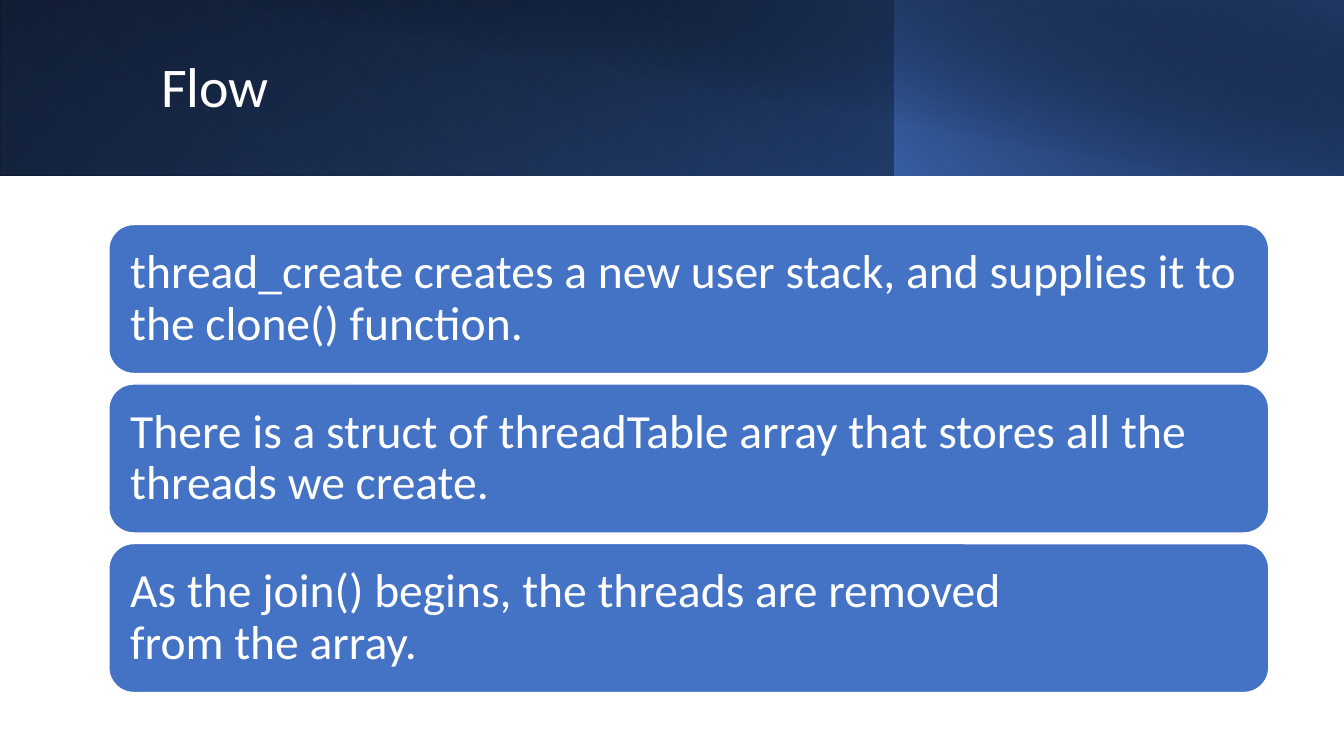
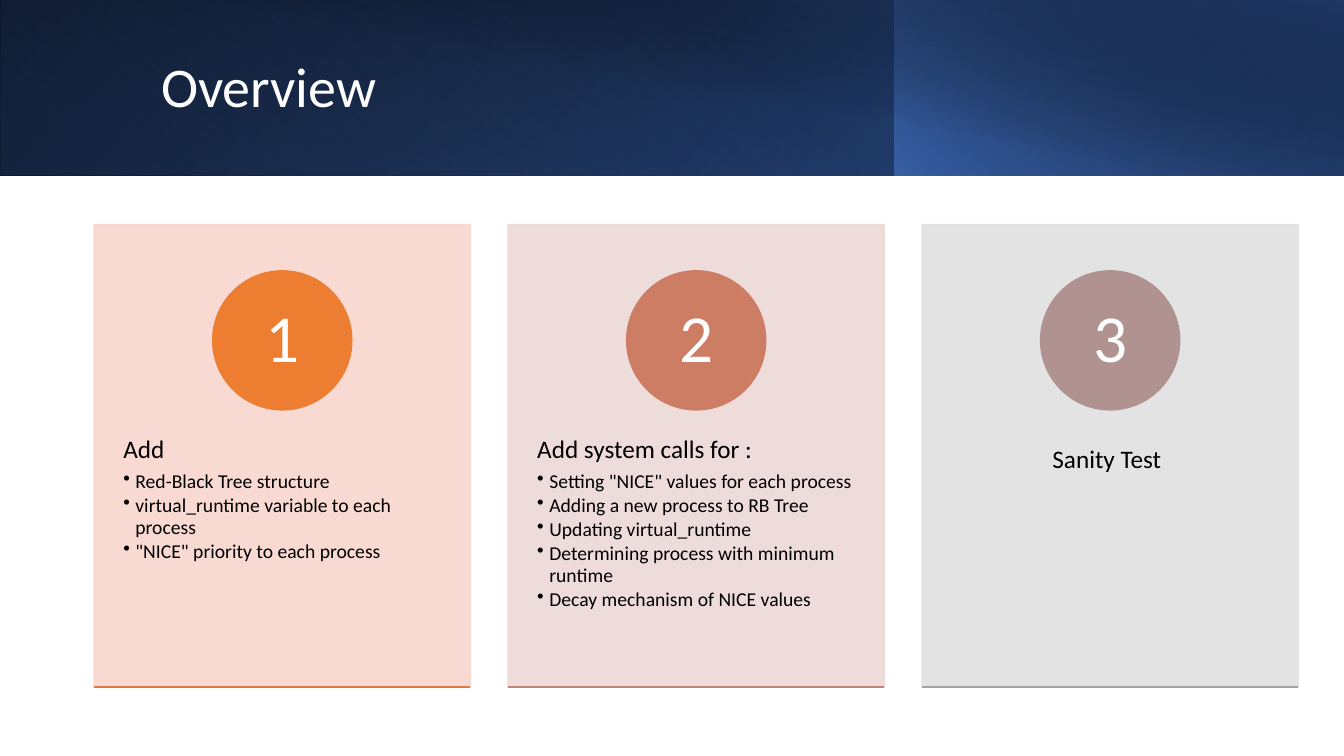
"""Build two slides on a threading project: the flow and the overview."""
import dataclasses

import pptx
import pptx.dml.color
import pptx.enum.shapes
import pptx.enum.text
import pptx.oxml
import pptx.oxml.ns
import pptx.util
from lxml import etree

Pt, Inches = pptx.util.Pt, pptx.util.Inches
RGB = pptx.dml.color.RGBColor.from_string
SHAPE = pptx.enum.shapes.MSO_SHAPE
ALIGN = pptx.enum.text.PP_ALIGN
ANCHOR = pptx.enum.text.MSO_ANCHOR
qn = pptx.oxml.ns.qn


@dataclasses.dataclass(frozen=True)
class Theme:
    font: str = "Calibri"
    white: str = "FFFFFF"
    black: str = "000000"
    blue: str = "4472C4"
    deep_blue: str = "2F5597"
    navy: str = "203864"
    title: int = 40
    step: int = 34
    number: int = 48
    heading: int = 18
    bullet: int = 14


theme = Theme()
deck = pptx.Presentation()
deck.slide_width, deck.slide_height = Inches(13.33), Inches(7.5)
W, H = deck.slide_width, deck.slide_height


def write(frame, text, size, color=theme.black, align=ALIGN.LEFT, anchor=ANCHOR.TOP,
          insets=None, spacing=0.9, after=0, bullet=False):
    """Append one formatted paragraph to a text frame."""
    frame.word_wrap = True
    frame.vertical_anchor = anchor
    if insets:
        (frame.margin_left, frame.margin_top,
         frame.margin_right, frame.margin_bottom) = [Inches(inset) for inset in insets]
    paragraph = frame.add_paragraph() if frame.text else frame.paragraphs[0]
    paragraph.text = text
    paragraph.alignment = align
    paragraph.line_spacing = spacing
    paragraph.space_after = Pt(after)
    for run in paragraph.runs:
        run.font.name, run.font.size = theme.font, Pt(size)
        run.font.color.rgb = RGB(color)
    if bullet:
        properties = paragraph._p.get_or_add_pPr()
        properties.set("marL", str(Inches(0.12)))
        properties.set("indent", str(-Inches(0.12)))
        etree.SubElement(properties, qn("a:buChar")).set("char", "•")


def add_block(slide, kind, left, top, width, height, fill, line, opacity=100):
    """Add a filled and outlined preset shape."""
    block = slide.shapes.add_shape(kind, int(left), int(top), int(width), int(height))
    block.shadow.inherit = False
    block.fill.solid()
    block.fill.fore_color.rgb = RGB(fill)
    block.line.color.rgb = RGB(line)
    block.line.width = Pt(1)
    if opacity < 100:
        for color in block._element.spPr.iter(qn("a:srgbClr")):
            etree.SubElement(color, qn("a:alpha")).set("val", str(opacity * 1000))
    return block


band_height = 0.2325 * H
split = 0.6655 * W
band_layers = [
    (0, W, 0, True, 140, [(0, theme.black, 100), (100, theme.deep_blue, 100)]),
    (0, split, 180, True, 230, [(20, theme.blue, 0), (100, theme.navy, 55)]),
    (split, W, 0, True, 220, [(0, theme.blue, 66), (100, theme.black, 30)]),
    (0.0375 * W, W, 0, False, 280, [(50, theme.black, 0), (99, theme.navy, 52)]),
]

slides = []
for title in ("Flow", "Overview"):
    slide = deck.slides.add_slide(deck.slide_layouts[6])
    slides.append(slide)
    for left, right, turn, mirrored, angle, stops in band_layers:
        layer = slide.shapes.add_shape(SHAPE.RECTANGLE, int(left), 0,
                                       int(right - left), int(band_height))
        layer.shadow.inherit = False
        layer.line.fill.background()
        layer.rotation = turn
        if mirrored:
            layer._element.spPr.get_or_add_xfrm().set("flipH", "1")
        layer.fill.gradient()
        layer.fill.gradient_angle = 360 - angle
        for stop, (position, color, opacity) in zip(layer.fill.gradient_stops, stops):
            stop.position = position / 100
            stop.color.rgb = RGB(color)
        for stop_color, (position, color, opacity) in zip(
                layer._element.spPr.iter(qn("a:srgbClr")), stops):
            if opacity < 100:
                etree.SubElement(stop_color, qn("a:alpha")).set("val", str(opacity * 1000))
    heading = slide.shapes.add_textbox(Inches(1.5), Inches(0.32), Inches(10.82), Inches(1.13))
    write(heading.text_frame, title, theme.title, color=theme.white, anchor=ANCHOR.MIDDLE)

flow, overview = slides

steps = [
    "thread_create creates a new user stack, and supplies it to the clone() function.",
    "There is a struct of threadTable array that stores all the threads we create.",
    "As the join() begins, the threads are removed \vfrom the array.",
]
content_top = 0.297 * H
step_height, step_pitch = 0.197 * H, 0.211 * H
for row, text in enumerate(steps):
    step = add_block(flow, SHAPE.ROUNDED_RECTANGLE, 0.081 * W, content_top + row * step_pitch,
                     0.863 * W, step_height, theme.blue, theme.white)
    write(step.text_frame, text, theme.step, color=theme.white, anchor=ANCHOR.MIDDLE,
          insets=(0.14, 0.14, 0.14, 0.14), after=12)

cards = [
    ("F8D7CE", "ED7D31", "DC7A4B", "Add",
     ["Red-Black Tree structure", "virtual_runtime variable to each process",
      '"NICE" priority to each process']),
    ("EDD9D7", "CC7D64", "BD867B", "Add system calls for :",
     ['Setting "NICE" values for each process', "Adding a new process to RB Tree",
      "Updating virtual_runtime", "Determining process with minimum runtime",
      "Decay mechanism of NICE values"]),
    ("E1E1E1", "B09391", "A5A5A5", None, []),
]
card_left, card_pitch, card_width = 0.07 * W, 0.308 * W, 0.28 * W
card_height = 0.612 * H
disc_size = Inches(1.38)
for column, (tint, disc_color, rule_color, topic, points) in enumerate(cards):
    left = card_left + column * card_pitch
    card = add_block(overview, SHAPE.RECTANGLE, left, content_top, card_width, card_height,
                     tint, tint, opacity=90)
    if topic:
        write(card.text_frame, topic, theme.heading, insets=(0.29, 2.1, 0.29, 0.36), after=6)
    for point in points:
        write(card.text_frame, point, theme.bullet, after=2, bullet=True)

    disc = add_block(overview, SHAPE.OVAL, left + (card_width - disc_size) / 2,
                     content_top + 0.1 * card_height, disc_size, disc_size,
                     disc_color, disc_color)
    write(disc.text_frame, str(column + 1), theme.number, color=theme.white,
          align=ALIGN.CENTER, anchor=ANCHOR.MIDDLE, insets=(0.11, 0.01, 0.11, 0.01))

    base = int(content_top + card_height)
    rule = overview.shapes.add_connector(pptx.enum.shapes.MSO_CONNECTOR.STRAIGHT,
                                         int(left), base, int(left + card_width), base)
    rule.line.color.rgb = RGB(rule_color)
    rule.line.width = Pt(1.5)
    etree.SubElement(rule._element.spPr, qn("a:effectLst"))

sanity = overview.shapes.add_textbox(Inches(10.34), Inches(4.35), Inches(1.5), Inches(0.4))
write(sanity.text_frame, "Sanity Test", theme.heading, spacing=1.0)

deck.save("out.pptx")
